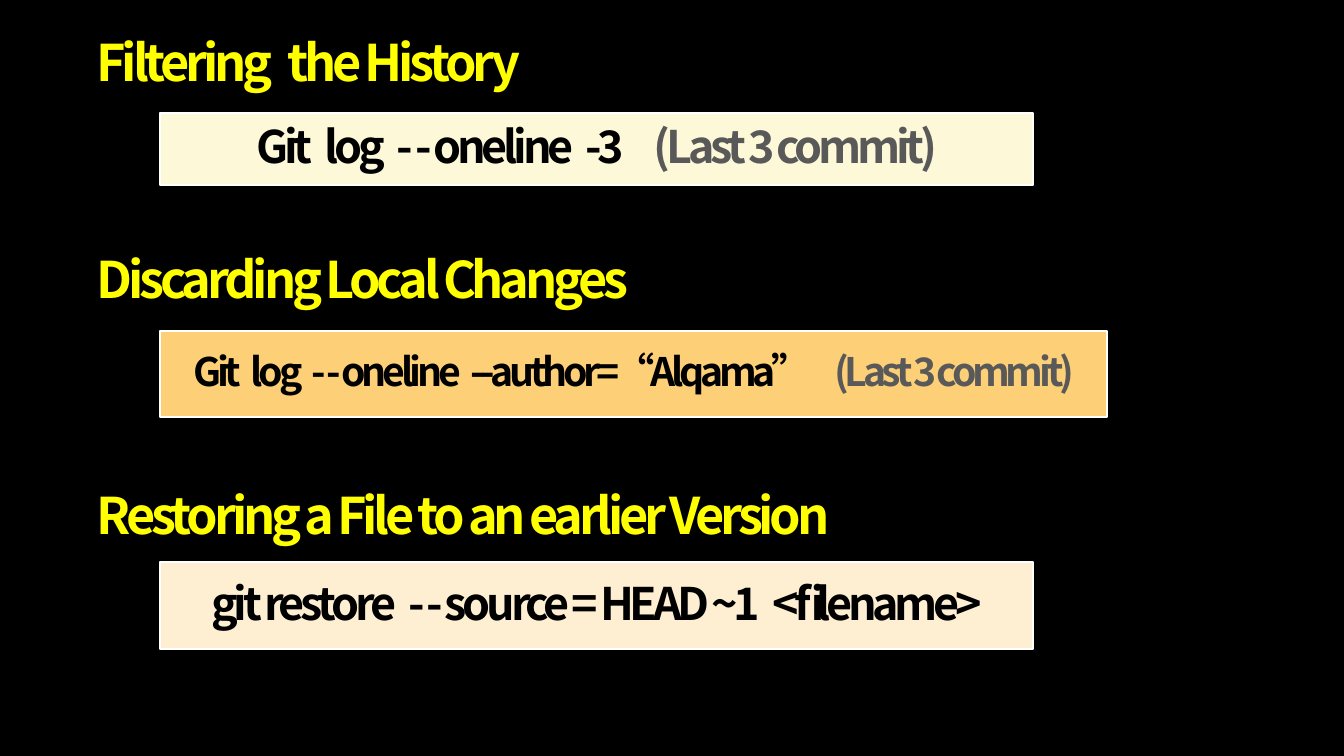
from dataclasses import dataclass

from lxml import etree
from pptx import Presentation
from pptx.dml.color import RGBColor
from pptx.enum.shapes import MSO_SHAPE
from pptx.enum.text import MSO_ANCHOR, PP_ALIGN
from pptx.oxml.ns import qn
from pptx.util import Inches, Pt

RECTANGLE = MSO_SHAPE.RECTANGLE
MIDDLE = MSO_ANCHOR.MIDDLE
LEFT, CENTER = PP_ALIGN.LEFT, PP_ALIGN.CENTER


@dataclass(frozen=True)
class Theme:
    font: str = "Noto Sans CJK SC"
    background: str = "000000"
    heading: str = "FFFF00"
    command: str = "000000"
    note: str = "595959"
    border: str = "FFFFFF"
    cream: str = "FDF8D8"
    amber: str = "FDD077"
    peach: str = "FEEFD2"
    heading_size: int = 36
    command_size: int = 32
    long_command_size: int = 28
    tracking: float = -3
    space_em: float = 0.224


THEME = Theme()
NOTE = "(Last 3 commit)"
HEADING_LEFT, COMMAND_LEFT = 0.86, 1.59

# Each phrase carries the width of the gap after it, counted in tight spaces.
SECTIONS = [
    dict(
        heading=[("Filtering", 2), ("the History", 0)],
        heading_box=(HEADING_LEFT, 0.32, 10.12, 0.65),
        command=[("Git", 2), ("log", 2), ("- - oneline", 2), ("-3", 5)],
        note=NOTE,
        command_box=(COMMAND_LEFT, 1.12, 8.66, 0.72),
        fill=THEME.cream,
        size=THEME.command_size,
    ),
    dict(
        heading=[("Discarding Local Changes", 0)],
        heading_box=(HEADING_LEFT, 2.47, 10.12, 0.65),
        command=[("Git", 2), ("log", 2), ("- - oneline", 2), ("--author=“Alqama”", 5)],
        note=NOTE,
        command_box=(COMMAND_LEFT, 3.28, 9.39, 0.86),
        fill=THEME.amber,
        size=THEME.long_command_size,
    ),
    dict(
        heading=[("Restoring a File to an earlier Version", 0)],
        heading_box=(HEADING_LEFT, 4.71, 10.41, 0.86),
        command=[("git restore", 2), ("- - source = HEAD ~1", 2), ("<filename>", 0)],
        note="",
        command_box=(COMMAND_LEFT, 5.58, 8.66, 0.86),
        fill=THEME.peach,
        size=THEME.command_size,
    ),
]


def add_run(paragraph, text, size, color, tracking=THEME.tracking):
    run = paragraph.add_run()
    run.text = text
    run.font.name = THEME.font
    run.font.size = Pt(size)
    run.font.bold = True
    run.font.color.rgb = RGBColor.from_string(color)
    properties = run.font._element
    properties.set("spc", str(round(tracking * 100)))
    etree.SubElement(properties, qn("a:ea")).set("typeface", THEME.font)


def add_phrases(paragraph, phrases, size, color):
    """Write phrases, each gap being one space tracked out to its width."""
    space = THEME.space_em * size
    for text, gap in phrases:
        add_run(paragraph, text, size, color)
        if gap:
            tracking = gap * (space + THEME.tracking) - space
            add_run(paragraph, " ", size, color, tracking)


def prepare_paragraph(shape, alignment):
    frame = shape.text_frame
    frame.word_wrap = True
    frame.vertical_anchor = MIDDLE
    paragraph = frame.paragraphs[0]
    paragraph.alignment = alignment
    paragraph.line_spacing = 0.9
    return paragraph


def add_heading(slide, box, phrases):
    shape = slide.shapes.add_textbox(*map(Inches, box))
    paragraph = prepare_paragraph(shape, LEFT)
    add_phrases(paragraph, phrases, THEME.heading_size, THEME.heading)


def add_command(slide, box, phrases, note, fill, size):
    shape = slide.shapes.add_shape(RECTANGLE, *map(Inches, box))
    shape.shadow.inherit = False
    shape.fill.solid()
    shape.fill.fore_color.rgb = RGBColor.from_string(fill)
    shape.line.color.rgb = RGBColor.from_string(THEME.border)
    shape.line.width = Pt(1.5)
    paragraph = prepare_paragraph(shape, CENTER)
    add_phrases(paragraph, phrases, size, THEME.command)
    if note:
        add_run(paragraph, note, size, THEME.note)


def add_section(slide, section):
    add_heading(slide, section["heading_box"], section["heading"])
    add_command(slide, section["command_box"], section["command"],
                section["note"], section["fill"], section["size"])


def main():
    presentation = Presentation()
    presentation.slide_width = Inches(13.33)
    presentation.slide_height = Inches(7.5)
    slide = presentation.slides.add_slide(presentation.slide_layouts[6])
    slide.background.fill.solid()
    slide.background.fill.fore_color.rgb = RGBColor.from_string(THEME.background)
    for section in SECTIONS:
        add_section(slide, section)
    presentation.save("out.pptx")


if __name__ == "__main__":
    main()
